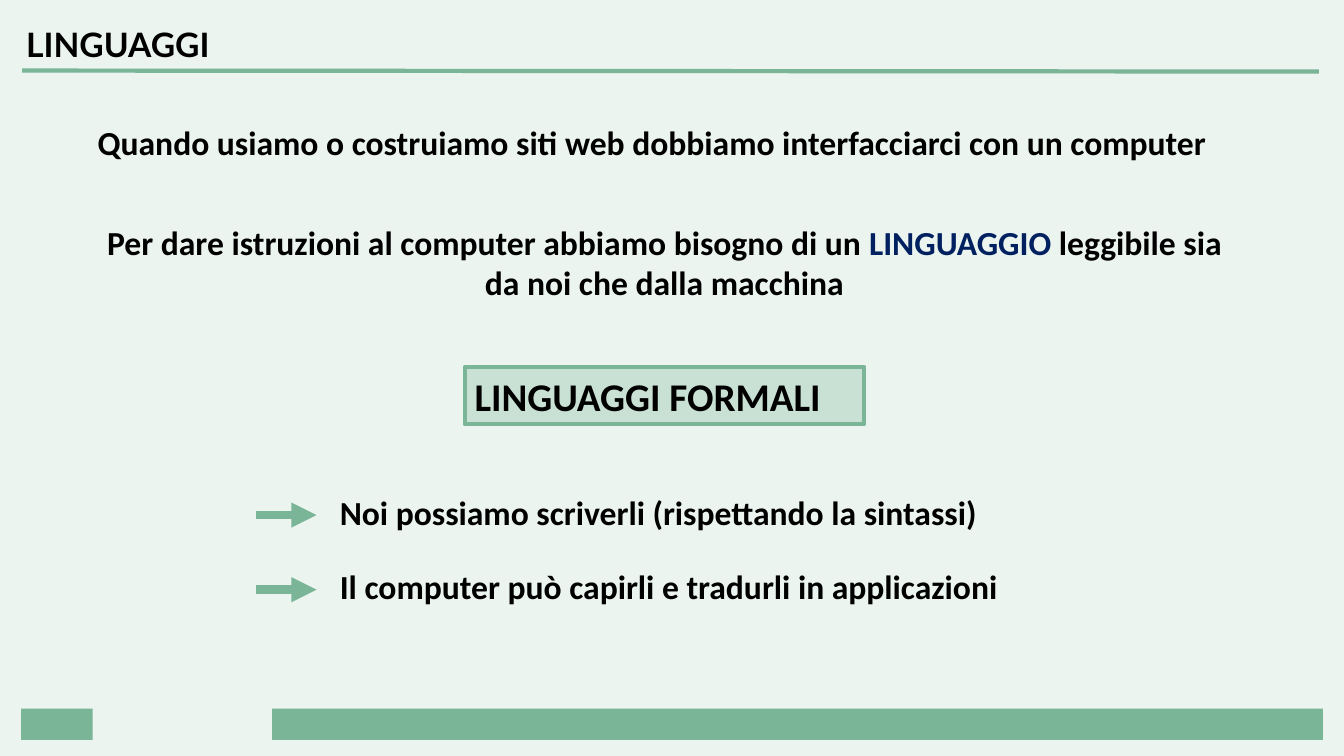
from dataclasses import dataclass

from lxml import etree
from pptx import Presentation
from pptx.dml.color import RGBColor
from pptx.enum import shapes, text
from pptx.oxml.ns import qn
from pptx.util import Inches, Pt


@dataclass(frozen=True)
class Theme:
    green: str = "79B596"
    pale: str = "C9E1D4"
    back: str = "EBF4EF"
    ink: str = "000000"
    navy: str = "002060"
    head: str = "Lato"
    body: str = "Calibri"
    size: int = 24
    large: int = 28


theme = Theme()


def color(code):
    return RGBColor.from_string(code)


def place(shape, box):
    shape.left, shape.top, shape.width, shape.height = map(Inches, box)


def style(para, font=theme.body, size=theme.size, align=text.PP_ALIGN.LEFT):
    para.alignment = align
    para.space_before = Pt(0)
    para.font.name, para.font.size, para.font.bold = font, Pt(size), True
    para.font.color.rgb = color(theme.ink)


def setup(frame, anchor=text.MSO_ANCHOR.TOP):
    frame.word_wrap = True
    frame.auto_size = text.MSO_AUTO_SIZE.NONE
    frame.vertical_anchor = anchor


def block(slide, box, fill, line=None):
    shape = slide.shapes.add_shape(shapes.MSO_SHAPE.RECTANGLE, *map(Inches, box))
    shape.shadow.inherit = False
    shape.fill.solid()
    shape.fill.fore_color.rgb = color(fill)
    if line:
        shape.line.color.rgb = color(line)
        shape.line.width = Pt(3)
    else:
        shape.line.fill.background()
    return shape


def rule(slide, start, end, width, arrow=False):
    line = slide.shapes.add_connector(
        shapes.MSO_CONNECTOR.STRAIGHT, *map(Inches, start + end))
    line.line.color.rgb = color(theme.green)
    line.line.width = Pt(width)
    if arrow:
        etree.SubElement(line.line._get_or_add_ln(), qn("a:tailEnd"), type="triangle")
    etree.SubElement(line._element.spPr, qn("a:effectLst"))


# Title with the rule under it
def header(slide, box, words):
    x, y, w, h = box
    title = slide.shapes.title
    place(title, (x, y, 6.23, h))
    title.text = words
    setup(title.text_frame)
    style(title.text_frame.paragraphs[0], theme.head)
    rule(slide, (x + 0.06, y + h + 0.01), (x + w, y + h + 0.02), 3)


# Statement whose runs may carry an accent colour
def claim(slide, box, runs, align=text.PP_ALIGN.LEFT):
    frame = slide.shapes.add_textbox(*map(Inches, box)).text_frame
    setup(frame)
    para = frame.paragraphs[0]
    style(para, align=align)
    for words, tint in runs:
        run = para.add_run()
        run.text = words
        if tint:
            run.font.color.rgb = color(tint)


# Framed key term
def badge(slide, box, words):
    shape = block(slide, box, theme.pale, theme.green)
    shape.text = words
    setup(shape.text_frame)
    style(shape.text_frame.paragraphs[0], size=theme.large)


# List with an arrow before each item
def points(slide, box, items, step=0.74):
    x, y, w, h = box
    body = slide.placeholders[1]
    place(body, (x + 0.73, y, w - 0.73, h))
    body.text = "\n".join(items)
    setup(body.text_frame)
    for i, para in enumerate(body.text_frame.paragraphs):
        style(para)
        para.space_after = Pt(step * 72 - theme.size * 1.22)
        props = para._p.get_or_add_pPr()
        props.set("marL", "0")
        props.set("indent", "0")
        etree.SubElement(props, qn("a:buNone"))
        # Bullet setting comes before the default run properties
        props.insert_element_before(props.find(qn("a:buNone")), "a:defRPr")
        level = y + 0.28 + i * step
        rule(slide, (x, level), (x + 0.6, level), 6, arrow=True)


# Bottom band in two pieces
def footer(slide, box):
    x, y, w, h = box
    for left, wide in ((0, 0.71), (2.49, w - 2.49)):
        block(slide, (x + left, y, wide, h), theme.green)


def build():
    deck = Presentation()
    deck.slide_width, deck.slide_height = Inches(13.33), Inches(7.5)
    slide = deck.slides.add_slide(deck.slide_layouts[1])
    slide.background.fill.solid()
    slide.background.fill.fore_color.rgb = color(theme.back)

    footer(slide, (0.21, 7.03, 12.91, 0.31))
    header(slide, (0.16, 0.19, 12.92, 0.5), "LINGUAGGI")
    claim(slide, (0.87, 1.16, 12.2, 0.5), [
        ("Quando usiamo o costruiamo siti web dobbiamo interfacciarci "
         "con un computer", None)])
    claim(slide, (0.92, 2.15, 11.34, 0.91), [
        ("Per dare istruzioni al computer abbiamo bisogno di un ", None),
        ("LINGUAGGIO", theme.navy),
        (" leggibile sia da noi che dalla macchina", None),
    ], text.PP_ALIGN.CENTER)
    badge(slide, (4.61, 3.64, 3.96, 0.57), "LINGUAGGI FORMALI")
    points(slide, (2.54, 4.83, 8.33, 1.25), [
        "Noi possiamo scriverli (rispettando la sintassi)",
        "Il computer può capirli e tradurli in applicazioni"])
    deck.save("out.pptx")


build()
